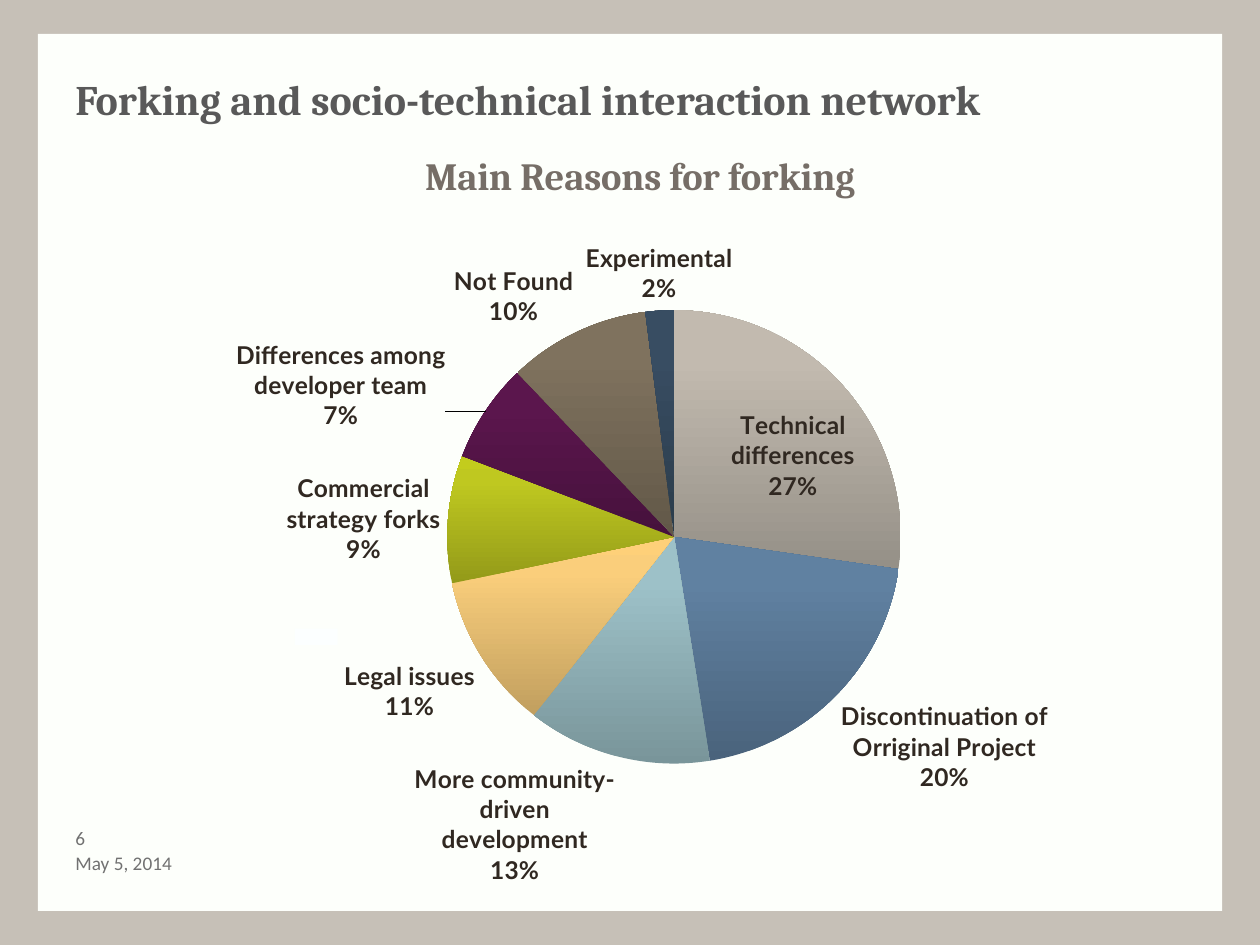
from copy import deepcopy

from lxml.etree import SubElement
from pptx import Presentation
from pptx.chart.data import CategoryChartData
from pptx.dml.color import RGBColor
from pptx.enum.chart import XL_CHART_TYPE, XL_LABEL_POSITION
from pptx.enum.shapes import MSO_SHAPE
from pptx.enum.text import MSO_ANCHOR
from pptx.oxml.ns import qn
from pptx.util import Inches, Pt

WIDTH, HEIGHT = Inches(10), Inches(7.5)
FRAME = RGBColor(0xC6, 0xC0, 0xB7)
PAPER = RGBColor(0xFD, 0xFF, 0xFB)
PATCH = RGBColor(0xFC, 0xFF, 0xFF)
HEADING = RGBColor(0x59, 0x59, 0x59)
FOOTER = RGBColor(0x71, 0x71, 0x71)
CHART_TEXT = RGBColor(0x61, 0x50, 0x42)
CHART_TITLE = RGBColor(0x76, 0x6E, 0x67)
LABEL = RGBColor(0x30, 0x28, 0x21)

REASONS = [
    ("Technical differences", 27, ("959087", "C2BAAF", "C3BBB0")),
    ("Discontinuation of Orriginal Project", 20, ("4A637C", "6081A1", "5F82A2")),
    ("More community-driven development", 13, ("79959A", "9DC1C8", "9DC3C9")),
    ("Legal issues", 11, ("C19F5F", "FACE7B", "FED079")),
    ("Commercial strategy forks", 9, ("939A19", "BFC820", "C3CC1D")),
    ("Differences among developer team", 7, ("46113C", "5B164D", "5D154F")),
    ("Not Found", 10, ("625848", "7F725E", "81735E")),
    ("Experimental", 2, ("2B3C4B", "384D62", "384E63")),
]
STOP_POSITIONS = (0, 0.8, 1)
MOVED_LABELS = {
    0: (XL_LABEL_POSITION.CENTER, {"x": 0.03, "y": -0.01}),
    5: (XL_LABEL_POSITION.OUTSIDE_END, {"x": -0.03, "y": 0.03}),
}
PIE_LAYOUT = {"layoutTarget": "inner", "xMode": "edge", "yMode": "edge",
              "x": 0.325, "y": 0.225, "w": 0.41, "h": 0.59}
TITLE_LAYOUT = {"xMode": "edge", "yMode": "edge", "x": 0.3, "y": 0.01}
LABEL_FONT = {"name": "Lato", "size": Pt(14), "bold": True}
LABEL_PARTS = {"showVal": "0", "showCatName": "1", "showPercent": "1"}


def share(left, top, width, height):
    """Turn percentages of the slide into a box of lengths."""
    return (int(WIDTH * left / 100), int(HEIGHT * top / 100),
            int(WIDTH * width / 100), int(HEIGHT * height / 100))


def apply(target, values):
    """Set each attribute in values on the target."""
    for name, value in values.items():
        setattr(target, name, value)


def style_font(font, color, values):
    """Give a font its colour and format values."""
    apply(font, values)
    font.color.rgb = color


def add_panel(page, box, color):
    """Place a plain rectangle in the box."""
    panel = page.shapes.add_shape(MSO_SHAPE.RECTANGLE, *box)
    panel.shadow.inherit = False
    panel.fill.solid()
    panel.fill.fore_color.rgb = color
    panel.line.fill.background()


def add_text(page, box, text, color, font, frame_values):
    """Place one line of text in the box."""
    frame = page.shapes.add_textbox(*box).text_frame
    apply(frame, {"word_wrap": True, **frame_values})
    span = frame.paragraphs[0].add_run()
    span.text = text
    style_font(span.font, color, font)


def set_layout(parent, before, values):
    """Give a chart part a manual layout after the named child."""
    for old in parent.findall(qn("c:layout")):
        parent.remove(old)
    layout = SubElement(parent, qn("c:layout"))
    manual = SubElement(layout, qn("c:manualLayout"))
    for name, value in values.items():
        SubElement(manual, qn(f"c:{name}")).set("val", str(value))
    if before:
        parent.find(qn(before)).addnext(layout)
    else:
        parent.insert(0, layout)


def show_label_parts(element):
    """Show category and percentage on separate lines."""
    for name, value in LABEL_PARTS.items():
        element.find(qn(f"c:{name}")).set("val", value)
    separator = SubElement(element, qn("c:separator"))
    separator.text = "\n"
    element.find(qn("c:showBubbleSize")).addnext(separator)


def fill_slice(point, colors):
    """Fill a pie slice with its upward gradient."""
    fill = point.format.fill
    fill.gradient()
    fill.gradient_angle = 90
    stop_list = next(point.format._element.iter(qn("a:gsLst")))
    stop_list.append(deepcopy(stop_list[-1]))
    for stop, position, color in zip(fill.gradient_stops, STOP_POSITIONS, colors):
        stop.position = position
        stop.color.rgb = RGBColor.from_string(color)


def style_labels(series):
    """Format the slice labels and shift those that are moved."""
    labels = series.data_labels
    style_font(labels.font, LABEL, LABEL_FONT)
    labels.position = XL_LABEL_POSITION.OUTSIDE_END
    for index, (position, _) in MOVED_LABELS.items():
        label = series.points[index].data_label
        style_font(label.font, LABEL, LABEL_FONT)
        label.position = position
    show_label_parts(labels._element)
    for element, (_, offset) in zip(labels._element.findall(qn("c:dLbl")),
                                    MOVED_LABELS.values()):
        show_label_parts(element)
        set_layout(element, "c:idx", offset)


def add_pie(page, box):
    """Place the pie chart of forking reasons in the box."""
    data = CategoryChartData()
    data.categories = [name for name, _, _ in REASONS]
    data.add_series("Series 1", [value for _, value, _ in REASONS])
    chart = page.shapes.add_chart(XL_CHART_TYPE.PIE, *box, data).chart
    style_font(chart.font, CHART_TEXT, {"name": "TeX Gyre Pagella", "size": Pt(18)})
    chart.has_legend = False
    chart.has_title = True
    para = chart.chart_title.text_frame.paragraphs[0]
    span = para.add_run()
    span.text = "Main Reasons for forking"
    style_font(span.font, CHART_TITLE, {"name": "Cambria", "size": Pt(22), "bold": True})
    set_layout(chart.chart_title._element, "c:tx", TITLE_LAYOUT)
    plot = chart.plots[0]
    plot.vary_by_categories = True
    set_layout(plot._element.getparent(), None, PIE_LAYOUT)
    series = plot.series[0]
    for index, (_, _, colors) in enumerate(REASONS):
        fill_slice(series.points[index], colors)
    style_labels(series)


def add_footer(page, box):
    """Place the page number above the date in the box."""
    left, top, width, height = box
    row = height // 2
    font = {"name": "Calibri", "size": Pt(11)}
    margins = {"margin_top": 0, "margin_bottom": 0,
               "vertical_anchor": MSO_ANCHOR.MIDDLE}
    for index, text in enumerate(("6", "May 5, 2014")):
        add_text(page, (left, top + index * row, width, row), text, FOOTER, font, margins)


def build_reasons_page(deck):
    """Build the slide on the main reasons for forking."""
    page = deck.slides.add_slide(deck.slide_layouts[6])
    page.background.fill.solid()
    page.background.fill.fore_color.rgb = FRAME
    add_panel(page, share(3, 3.6, 94, 92.8), PAPER)
    add_text(page, share(5, 6.67, 90, 10), "Forking and socio-technical interaction network",
             HEADING, {"name": "Cambria", "size": Pt(24), "bold": True},
             {"margin_top": Inches(0.08)})
    add_footer(page, share(5, 87.33, 20, 5.34))
    add_panel(page, share(47.2, 67.47, 3.2, 2.4), PATCH)
    add_pie(page, share(6.7, 14.53, 88.3, 81.33))
    add_panel(page, share(23.4, 66.53, 3.4, 1.73), PATCH)


def main():
    """Create the deck and save it."""
    deck = Presentation()
    apply(deck, {"slide_width": WIDTH, "slide_height": HEIGHT})
    build_reasons_page(deck)
    deck.save("out.pptx")


if __name__ == "__main__":
    main()
